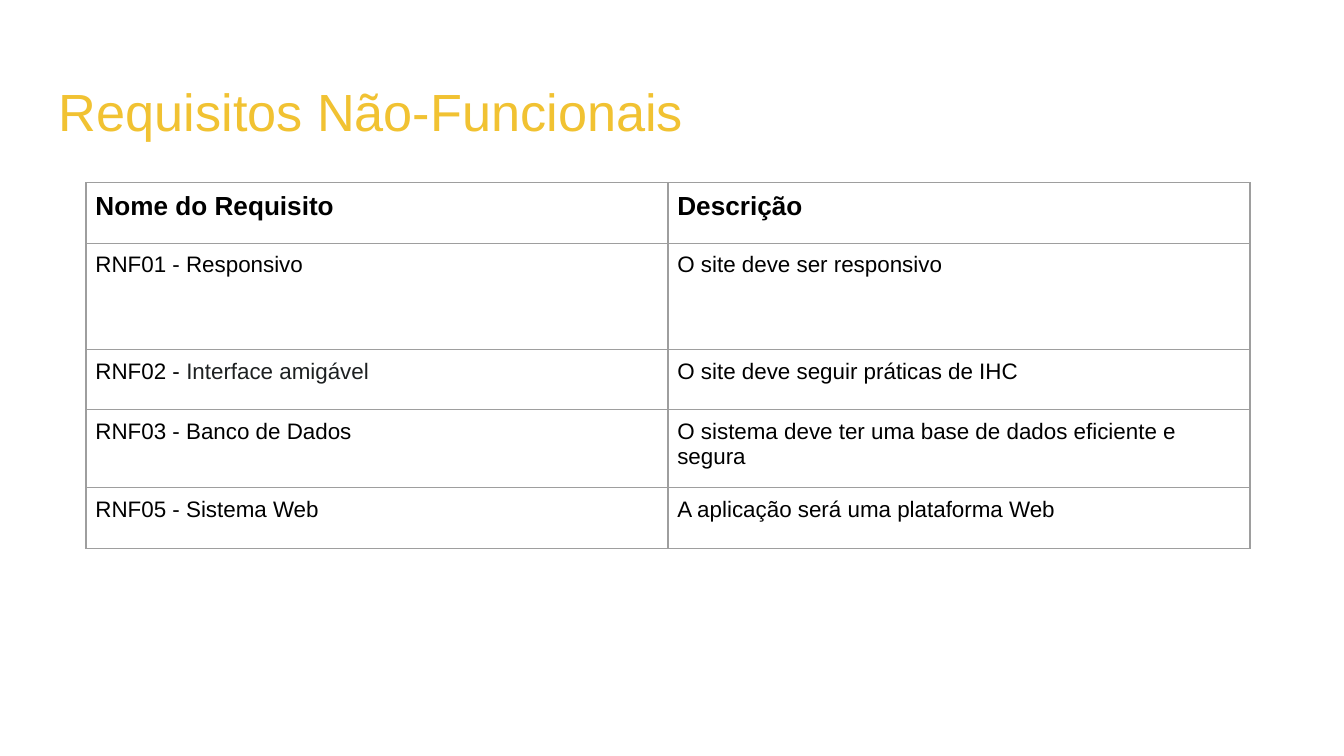
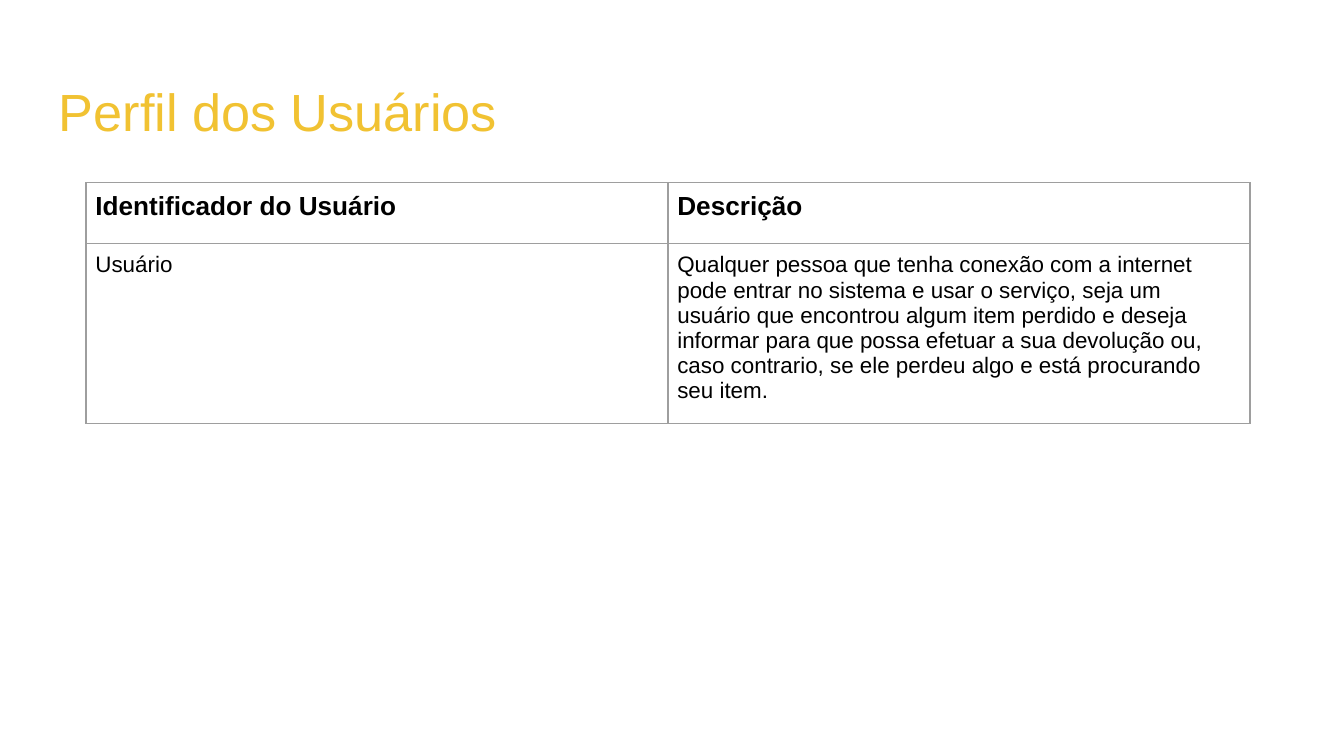
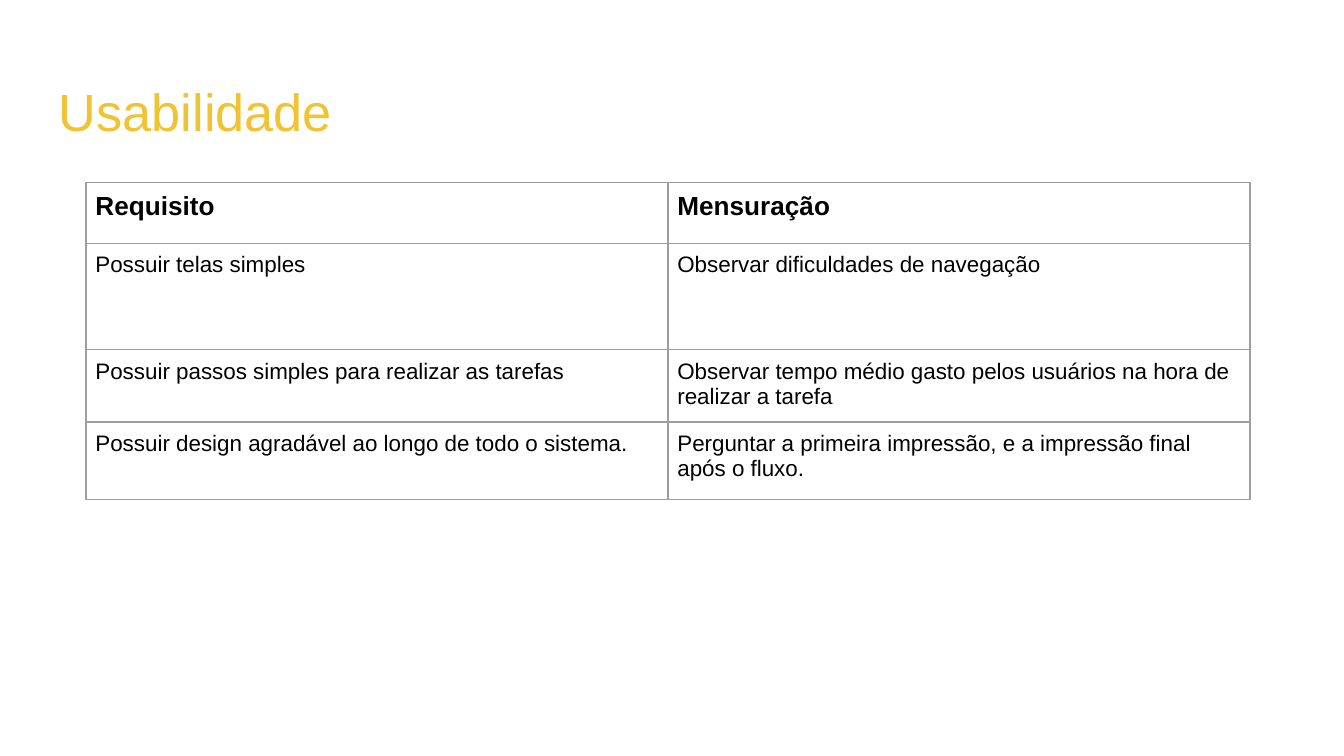
from lxml import etree
from pptx import Presentation
from pptx.dml.color import RGBColor
from pptx.enum import text
from pptx.oxml import ns
from pptx.util import Inches, Pt

# Content: title, then table rows as (height, cells); a cell is a string
# or a list of (text, colour name) runs
SLIDES = [
    ("Requisitos Não-Funcionais", [
        (0.45, ["Nome do Requisito", "Descrição"]),
        (0.79, ["RNF01 - Responsivo", "O site deve ser responsivo"]),
        (0.45, [[("RNF02 - ", "text"), ("Interface amigável", "soft")],
                "O site deve seguir práticas de IHC"]),
        (0.58, ["RNF03 - Banco de Dados",
                "O sistema deve ter uma base de dados eficiente e segura"]),
        (0.45, ["RNF05 - Sistema Web", "A aplicação será uma plataforma Web"]),
    ]),
    ("Perfil dos Usuários", [
        (0.45, ["Identificador do Usuário", "Descrição"]),
        (0.79, ["Usuário",
                "Qualquer pessoa que tenha conexão com a internet pode entrar "
                "no sistema e usar o serviço, seja um usuário que encontrou "
                "algum item perdido e deseja informar para que possa efetuar "
                "a sua devolução ou, caso contrario, se ele perdeu algo e "
                "está procurando seu item."]),
    ]),
    ("Usabilidade", [
        (0.45, ["Requisito", "Mensuração"]),
        (0.79, ["Possuir telas simples", "Observar dificuldades de navegação"]),
        (0.45, ["Possuir passos simples para realizar as tarefas",
                "Observar tempo médio gasto pelos usuários na hora de "
                "realizar a tarefa"]),
        (0.58, ["Possuir design agradável ao longo de todo o sistema.",
                "Perguntar a primeira impressão, e a impressão final após "
                "o fluxo."]),
    ]),
]

# Theme and layout
THEME = {
    "font": "Arial",
    "title": "F1C232", "text": "000000", "soft": "1D2021", "border": "9E9E9E",
    "title_size": 28, "head_size": 14, "body_size": 12, "border_width": 0.75,
}
WIDTH = 10
HEIGHT = WIDTH * 9 / 16
TITLE_LEFT, TITLE_TOP, TITLE_HEIGHT = 0.34, 0.49, 0.63
TABLE_LEFT, TABLE_TOP, COLUMN_WIDTH = 0.64, 1.36, 4.33
FRAME_SIDE = 3.28  # nominal frame; columns and rows set the drawn size
TITLE_MARGIN, CELL_MARGIN = 0.1, 0.07


def write(tf, content, size, color="text", bold=False):
    """Fill a text frame with one paragraph of one or more runs."""
    runs = [(content, color)] if isinstance(content, str) else content
    p = tf.paragraphs[0]
    p.line_spacing = 1.0
    for words, name in runs:
        r = p.add_run()
        r.text = words
        r.font.name = THEME["font"]
        r.font.size = Pt(size)
        r.font.bold = bold
        r.font.color.rgb = RGBColor.from_string(THEME[name])
    # The paragraph end keeps the text size, so rows grow no more than needed
    etree.SubElement(p._p, ns.qn("a:endParaRPr"), sz=str(size * 100))


def set_margins(box, margin):
    box.margin_left = box.margin_right = Inches(margin)
    box.margin_top = box.margin_bottom = Inches(margin)


def add_borders(cell):
    tc_pr = cell._tc.get_or_add_tcPr()
    for side in ("lnL", "lnR", "lnT", "lnB"):
        ln = etree.SubElement(tc_pr, ns.qn(f"a:{side}"),
                              w=str(Pt(THEME["border_width"])))
        fill = etree.SubElement(ln, ns.qn("a:solidFill"))
        etree.SubElement(fill, ns.qn("a:srgbClr"), val=THEME["border"])


def add_title(s, title):
    sp = s.shapes.add_textbox(Inches(TITLE_LEFT), Inches(TITLE_TOP),
                              Inches(WIDTH - 2 * TITLE_LEFT),
                              Inches(TITLE_HEIGHT))
    tf = sp.text_frame
    tf.word_wrap = True
    tf.vertical_anchor = text.MSO_ANCHOR.TOP
    set_margins(tf, TITLE_MARGIN)
    write(tf, title, THEME["title_size"], color="title")


def add_grid(s, rows):
    frame = s.shapes.add_table(len(rows), len(rows[0][1]),
                               Inches(TABLE_LEFT), Inches(TABLE_TOP),
                               Inches(FRAME_SIDE), Inches(FRAME_SIDE))
    table = frame.table
    table.first_row = table.horz_banding = False
    for column in table.columns:
        column.width = Inches(COLUMN_WIDTH)
    for i, (height, contents) in enumerate(rows):
        table.rows[i].height = Inches(height)
        head = i == 0
        for j, content in enumerate(contents):
            cell = table.cell(i, j)
            set_margins(cell, CELL_MARGIN)
            add_borders(cell)
            cell.fill.background()
            write(cell.text_frame, content, bold=head,
                  size=THEME["head_size" if head else "body_size"])
    frame.width = frame.height = Inches(FRAME_SIDE)


def main():
    prs = Presentation()
    prs.slide_width, prs.slide_height = Inches(WIDTH), Inches(HEIGHT)
    for title, rows in SLIDES:
        s = prs.slides.add_slide(prs.slide_layouts[6])
        add_title(s, title)
        add_grid(s, rows)
    prs.save("out.pptx")


if __name__ == "__main__":
    main()
